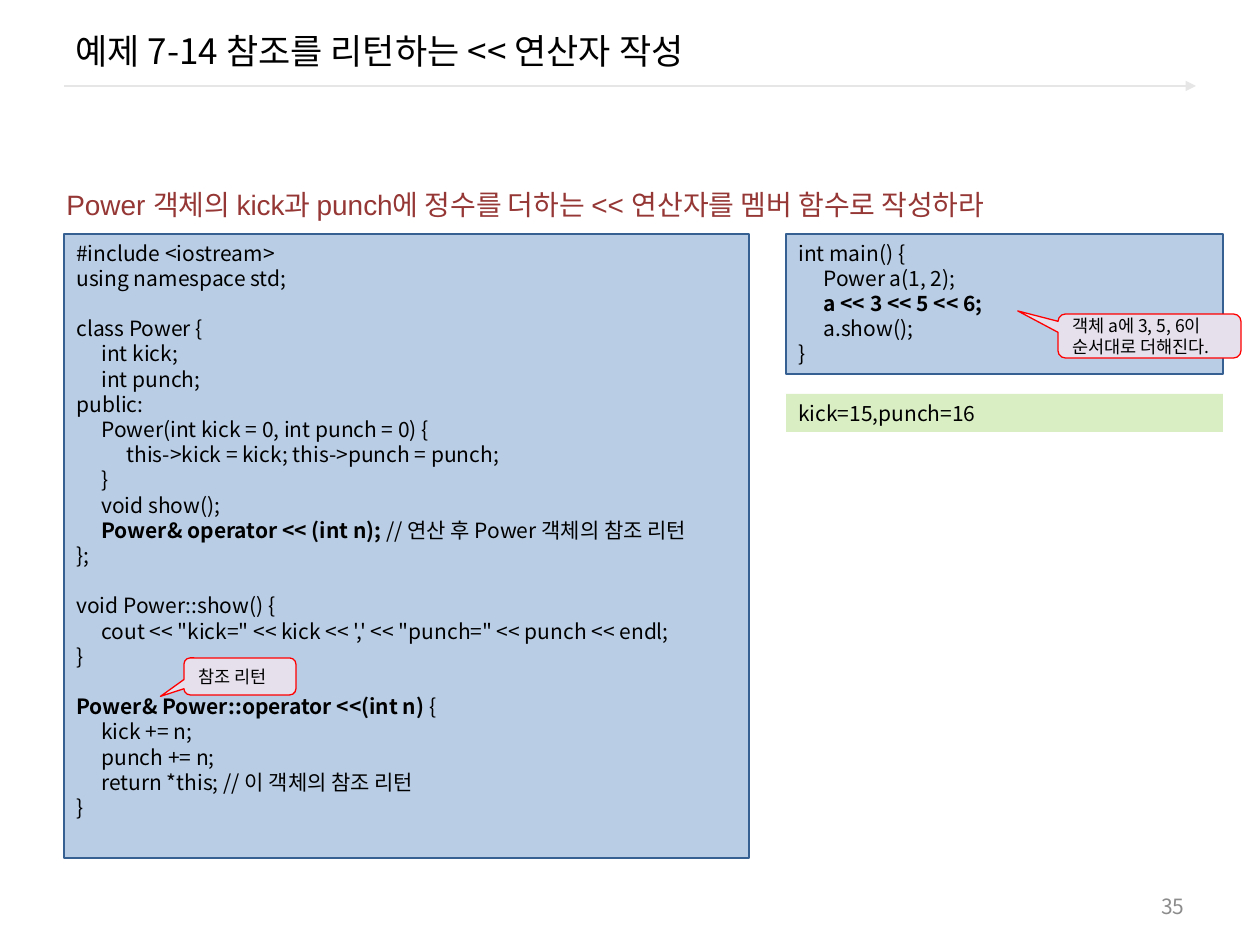
import pptx
import pptx.util
import pptx.dml.color
import pptx.enum.shapes
import pptx.enum.text
import pptx.oxml.ns
import lxml.etree

PX = 914400 / 126  # EMU in one px
FONT = "Noto Sans CJK KR"
TAB_WIDTH = 25
COLORS = {"text": "000000", "rule": "E6E6E6", "number": "8C8C8C", "task": "953735",
          "code": "B9CDE5", "code_line": "376092", "output": "DAEEC4",
          "callout": "E6E0EC", "callout_line": "FF0000"}
MSO_SHAPE = pptx.enum.shapes.MSO_SHAPE
ANCHOR = pptx.enum.text.MSO_ANCHOR
ALIGN = pptx.enum.text.PP_ALIGN


def color(name):
    return pptx.dml.color.RGBColor.from_string(COLORS[name])


def write(shape, text, size, anchor=ANCHOR.TOP, align=ALIGN.LEFT, ink="text", font=FONT):
    """Fill a shape with lines; ** switches bold, an empty line becomes space before."""
    frame = shape.text_frame
    frame.word_wrap = True
    frame.vertical_anchor = anchor
    line_height = pptx.util.Pt(size * 1.2)
    paragraph, gap = None, 0
    for line in text.split("\n"):
        if not line:
            gap += line_height
            continue
        paragraph = frame.add_paragraph() if paragraph else frame.paragraphs[0]
        # Tab stops for indented code
        depth = line.count("\t")
        if depth:
            properties = paragraph._p.get_or_add_pPr()
            tabs = lxml.etree.SubElement(properties, pptx.oxml.ns.qn("a:tabLst"))
            for level in range(1, depth + 1):
                lxml.etree.SubElement(tabs, pptx.oxml.ns.qn("a:tab"),
                                      pos=str(round(level * TAB_WIDTH * PX)), algn="l")
        layout = {"alignment": align, "line_spacing": line_height, "space_before": gap}
        for name, value in layout.items():
            setattr(paragraph, name, value)
        gap = 0
        for index, part in enumerate(line.split("**")):
            if not part:
                continue
            run = paragraph.add_run()
            run.text = part
            style = {"name": font, "size": pptx.util.Pt(size), "bold": index % 2 == 1}
            for name, value in style.items():
                setattr(run.font, name, value)
            run.font.color.rgb = color(ink)
            east_asian = lxml.etree.SubElement(run._r.get_or_add_rPr(), pptx.oxml.ns.qn("a:ea"))
            east_asian.set("typeface", FONT)


presentation = pptx.Presentation()
presentation.slide_width = round(1260 * PX)
presentation.slide_height = round(945 * PX)
slide = presentation.slides.add_slide(presentation.slide_layouts[6])

# Rule with arrowhead under the title
rule = slide.shapes.add_connector(pptx.enum.shapes.MSO_CONNECTOR.STRAIGHT,
                                  *[round(value * PX) for value in (64, 86, 1196, 86)])
rule.line.color.rgb = color("rule")
rule.line.width = pptx.util.Pt(1.5)
lxml.etree.SubElement(rule.line._get_or_add_ln(), pptx.oxml.ns.qn("a:tailEnd"), type="triangle")
lxml.etree.SubElement(rule._element.spPr, pptx.oxml.ns.qn("a:effectLst"))

# Title, task and slide number
labels = [
    ((63, 10, 1134, 81), "예제 7-14 참조를 리턴하는 << 연산자 작성",
     {"size": 20, "anchor": ANCHOR.MIDDLE}),
    ((54, 181, 1121, 47), "Power 객체의 kick과 punch에 정수를 더하는 << 연산자를 멤버 함수로 작성하라",
     {"size": 16, "ink": "task", "font": "Arial"}),
    ((903, 886, 294, 40), "35",
     {"size": 12, "anchor": ANCHOR.MIDDLE, "align": ALIGN.RIGHT, "ink": "number"}),
]
for box, text, style in labels:
    write(slide.shapes.add_textbox(*[round(value * PX) for value in box]), text, **style)

# Code listings
class_code = """#include <iostream>
using namespace std;

class Power {
\tint kick;
\tint punch;
public:
\tPower(int kick = 0, int punch = 0) {
\t\tthis->kick = kick; this->punch = punch;
\t}
\tvoid show();
\t**Power& operator << (int n); **// 연산 후 Power 객체의 참조 리턴
};

void Power::show() {
\tcout << "kick=" << kick << ',' << "punch=" << punch << endl;
}

**Power& Power::operator <<(int n) **{
\tkick += n;
\tpunch += n;
\treturn *this; // 이 객체의 참조 리턴
}"""
main_code = """int main() {
\tPower a(1, 2);
\t**a << 3 << 5 << 6;**
\ta.show();
}"""

# Code panels, program output and callouts: kind, box, fill, line, adjustments, text, style
code_style = {"size": 12}
callout_style = {"size": 10, "anchor": ANCHOR.MIDDLE}
callout = MSO_SHAPE.ROUNDED_RECTANGULAR_CALLOUT
panels = [
    (MSO_SHAPE.RECTANGLE, (64, 234, 685, 624), "code", "code_line", [], class_code, code_style),
    (MSO_SHAPE.RECTANGLE, (786, 394, 437, 38), "output", None, [], "kick=15,punch=16", code_style),
    (MSO_SHAPE.RECTANGLE, (786, 234, 437, 140), "code", "code_line", [], main_code, code_style),
    (callout, (184, 658, 112, 37), "callout", "callout_line", [-0.71, 0.54, 0.17],
     "참조 리턴", callout_style),
    (callout, (1058, 314, 183, 44), "callout", "callout_line", [-0.72, -0.57, 0.17],
     "객체 a에 3, 5, 6이\n순서대로 더해진다.", callout_style),
]
for kind, box, fill, line, adjustments, text, style in panels:
    shape = slide.shapes.add_shape(kind, *[round(value * PX) for value in box])
    shape.shadow.inherit = False
    for index, value in enumerate(adjustments):
        shape.adjustments[index] = value
    shape.fill.solid()
    shape.fill.fore_color.rgb = color(fill)
    if line:
        shape.line.color.rgb = color(line)
        shape.line.width = pptx.util.Pt(0.75)
    else:
        shape.line.fill.background()
    write(shape, text, **style)

presentation.save("out.pptx")
